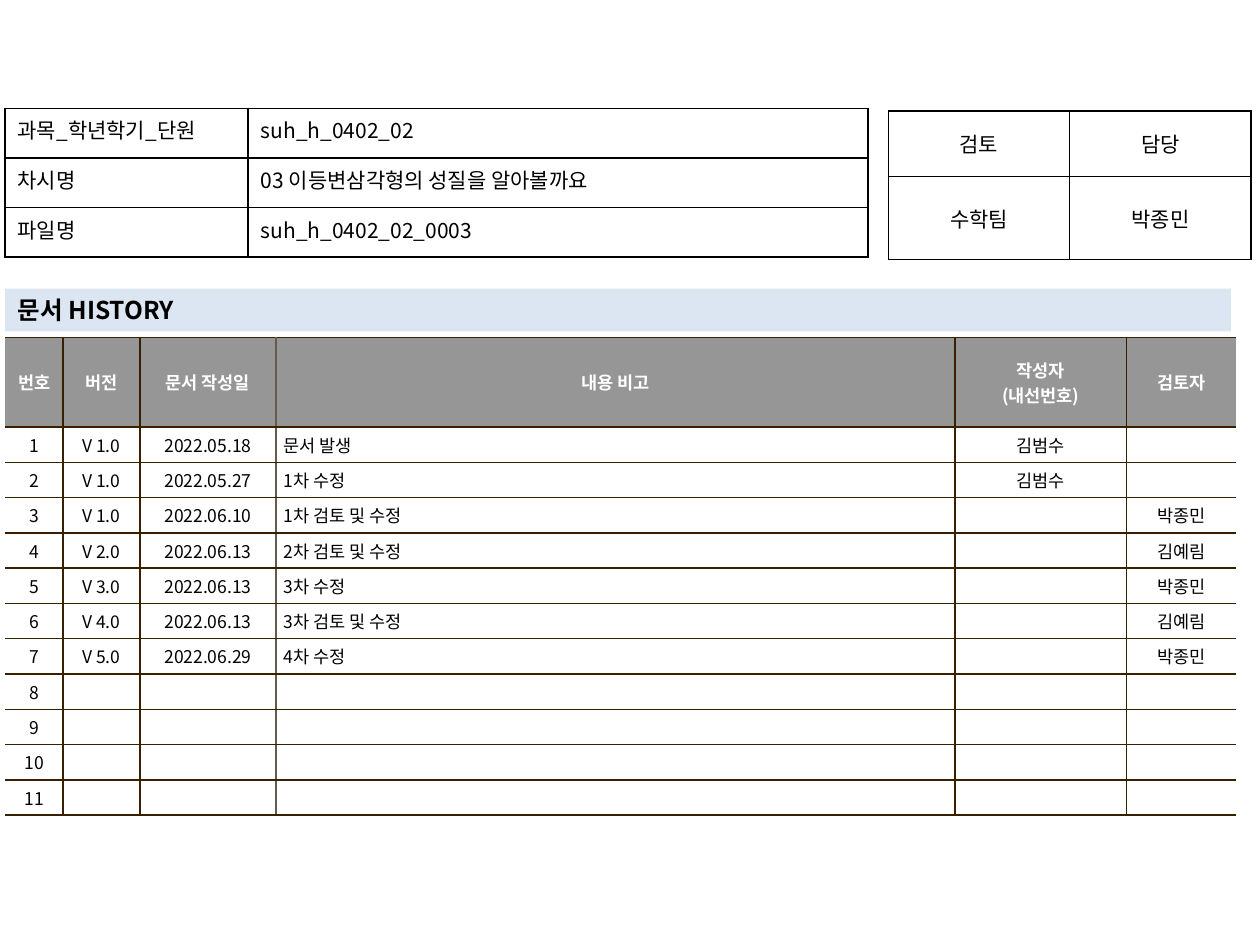
"""Build the document history slide: file details, sign-off grid and revision table."""
import pptx
import pptx.dml.color
import pptx.enum.text
import pptx.oxml
import pptx.oxml.ns
import pptx.util

prs = pptx.Presentation()
prs.slide_width, prs.slide_height = pptx.util.Inches(10), pptx.util.Inches(7.5)
PCT = prs.slide_width / 100
FONT = "Noto Sans CJK KR"
NS = pptx.oxml.ns.nsdecls("a")
ALIGN = pptx.enum.text.PP_ALIGN
MIDDLE = pptx.enum.text.MSO_ANCHOR.MIDDLE
TOP = pptx.enum.text.MSO_ANCHOR.TOP


def rgb(value):
    return pptx.dml.color.RGBColor.from_string(value)


def write(tf, text, size, color, bold, align, hang=0):
    for i, line in enumerate(text.split("\n")):
        p = tf.add_paragraph() if i else tf.paragraphs[0]
        p.alignment = align
        if hang:
            p._p.get_or_add_pPr().set("marL", str(int(hang * PCT)))
            p._p.get_or_add_pPr().set("indent", str(-int(hang * PCT)))
        if not line:
            p._p.append(pptx.oxml.parse_xml(f'<a:endParaRPr {NS} sz="{size * 100}"/>'))
            continue
        r = p.add_run()
        r.text = line
        r.font.color.rgb = rgb(color)
        for name, value in dict(name=FONT, size=pptx.util.Pt(size), bold=bold).items():
            setattr(r.font, name, value)
        r._r.rPr.append(pptx.oxml.parse_xml(f'<a:ea {NS} typeface="{FONT}"/>'))


s = prs.slides.add_slide(prs.slide_layouts[5])
sp = s.shapes.title
box = dict(left=0.4, top=22.9, width=97.3, height=3.4)
for name, value in box.items():
    setattr(sp, name, int(value * PCT))
sp.fill.solid()
sp.fill.fore_color.rgb = rgb("DCE6F2")
sp.text_frame.vertical_anchor = MIDDLE
write(sp.text_frame, "문서 HISTORY", 14, "000000", True, ALIGN.LEFT)

revisions = [
    ("V 1.0", "2022.05.18", "문서 발생", "김범수", ""),
    ("V 1.0", "2022.05.27", "1차 수정", "김범수", ""),
    ("V 1.0", "2022.06.10", "1차 검토 및 수정", "", "박종민"),
    ("V 2.0", "2022.06.13", "2차 검토 및 수정", "", "김예림"),
    ("V 3.0", "2022.06.13", "3차 수정", "", "박종민"),
    ("V 4.0", "2022.06.13", "3차 검토 및 수정", "", "김예림"),
    ("V 5.0", "2022.06.29", "4차 수정", "", "박종민"),
] + [("",) * 5] * 4
history = [("번호", "버전", "문서 작성일", "내용 비고", "작성자\n(내선번호)", "검토자")]
history += [(str(n), *row) for n, row in enumerate(revisions, 1)]
details = [
    ("과목_학년학기_단원", "suh_h_0402_02"),
    ("차시명", "03 이등변삼각형의 성질을 알아볼까요"),
    ("파일명", "suh_h_0402_02_0003"),
]
signoff = [("검토", "담당"), ("수학팀", "박종민")]

C, L, J = ALIGN.CENTER, ALIGN.LEFT, ALIGN.JUSTIFY
tables = [
    dict(rows=history, at=(0.4, 26.8), cols=(4.6, 6.1, 10.8, 53.9, 13.6, 8.7),
         heights=[7.1] + [2.5] * 11, aligns=(C, C, C, L, C, C), size=10,
         anchor=MIDDLE, margins=(0.6, 0.4), line="362000", log=True),
    dict(rows=signoff, at=(70.5, 8.8), cols=(14.4, 14.4), heights=(5.2, 6.6),
         aligns=(C, C), size=12, anchor=MIDDLE, margins=(1, 0.5), line="000000", log=False),
    dict(rows=details, at=(0.4, 8.6), cols=(19.3, 49.2), heights=[3.94] * 3,
         aligns=(J, L), size=12, anchor=TOP, margins=(1, 0.5), line="000000", log=False),
]

for t in tables:
    cols, heights, log = t["cols"], t["heights"], t["log"]
    frame = [int(v * PCT) for v in (*t["at"], sum(cols), sum(heights))]
    table = s.shapes.add_table(len(heights), len(cols), *frame).table
    table.first_row = table.horz_banding = False
    for column, width in zip(table.columns, cols):
        column.width = int(width * PCT)
    for row, height in zip(table.rows, heights):
        row.height = int(height * PCT)
    mx, my = (int(v * PCT) for v in t["margins"])
    for i, values in enumerate(t["rows"]):
        for j, text in enumerate(values):
            cell, header = table.cell(i, j), log and i == 0
            settings = dict(margin_left=mx, margin_right=mx, margin_top=my,
                            margin_bottom=my, vertical_anchor=t["anchor"])
            for name, value in settings.items():
                setattr(cell, name, value)
            if log:
                cell.fill.solid()
                cell.fill.fore_color.rgb = rgb("969696" if header else "FFFFFF")
            else:
                cell.fill.background()
            hang = {3: 1.9, 5: 0.9}.get(j, 0) if log and not header else 0
            write(cell.text_frame, text, t["size"], "FFFFFF" if header else "000000",
                  header, C if header else t["aligns"][j], hang)
            edges = dict(L=t["line"], R=t["line"], T=t["line"], B=t["line"])
            if log:
                edges["L"] = {0: None, 3: "645B4C"}.get(j, t["line"])
                edges["R"] = {2: "645B4C", 5: None}.get(j, t["line"])
            for k, (side, color) in enumerate(edges.items()):
                paint = f'<a:solidFill><a:srgbClr val="{color}"/></a:solidFill>' if color else "<a:noFill/>"
                cell._tc.get_or_add_tcPr().insert(k, pptx.oxml.parse_xml(
                    f'<a:ln{side} {NS} w="12700">{paint}</a:ln{side}>'))

prs.save("out.pptx")
